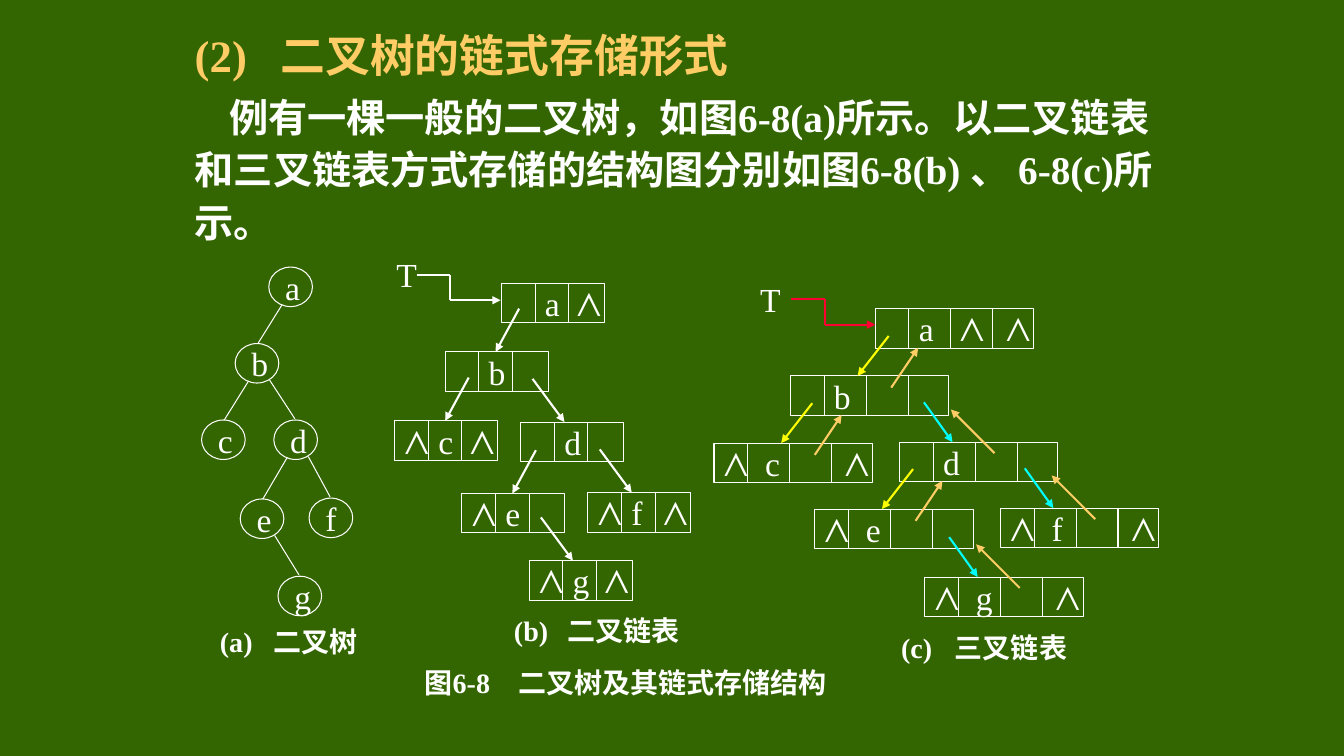
"""Build the slide on linked storage of binary trees."""
import lxml.etree
import pptx
import pptx.dml.color
import pptx.enum.shapes
import pptx.enum.text
import pptx.oxml.ns
import pptx.util

WIDTH = pptx.util.Inches(13.33)
HEIGHT = pptx.util.Inches(7.5)
COLUMNS, ROWS = 160, 90
GREEN = pptx.dml.color.RGBColor(0x33, 0x66, 0x00)
WHITE = pptx.dml.color.RGBColor(0xFF, 0xFF, 0xFF)
GOLD = pptx.dml.color.RGBColor(0xFF, 0xCC, 0x66)
YELLOW = pptx.dml.color.RGBColor(0xFF, 0xFF, 0x00)
CYAN = pptx.dml.color.RGBColor(0x00, 0xFF, 0xFF)
RED = pptx.dml.color.RGBColor(0xFF, 0x00, 0x33)
SERIF, SANS, ARIAL = "Times New Roman", "Noto Sans CJK SC", "Arial"
MIDDLE = pptx.enum.text.MSO_ANCHOR.MIDDLE
NODE_HEIGHT = 4.7

PARENTS = {"b": "a", "c": "b", "d": "b", "e": "d", "f": "d", "g": "e"}
LEFT_CHILDREN = "bce"
TREE = {"a": (32, 31.8), "b": (28, 40.9), "c": (24, 50), "d": (32.6, 50),
        "e": (28.6, 59.4), "f": (36.8, 59.3), "g": (33.1, 68.6)}
BINARY_LIST = {
    "a": (59.7, 33.75, "\ta\t⋀"), "b": (53, 41.9, "\tb"),
    "c": (47, 50.1, "⋀\tc\t⋀"), "d": (62, 50.25, "\td"),
    "e": (55, 58.75, "⋀\te"), "f": (70, 58.65, "⋀\tf\t⋀"),
    "g": (63, 66.75, "⋀\tg\t⋀")}
TRIPLE_LIST = {
    "a": (104.2, 36.75, "\ta\t⋀\t⋀"), "b": (94.1, 44.75, "\tb"),
    "c": (85, 52.75, "⋀\tc\t\t⋀"), "d": (107.1, 52.65, "\td"),
    "e": (97, 60.6, "⋀\te"), "f": (119.1, 60.5, "⋀\tf\t\t⋀"),
    "g": (110.1, 68.7, "⋀\tg\t\t⋀")}


def across(columns):
    """Turn grid columns into a length."""
    return round(columns * WIDTH / COLUMNS)


def down(rows):
    """Turn grid rows into a length."""
    return round(rows * HEIGHT / ROWS)


def place(box):
    """Turn a grid box into left, top, width and height."""
    return across(box[0]), down(box[1]), across(box[2]), down(box[3])


def shift(point, offset):
    """Move a grid point."""
    return point[0] + offset[0], point[1] + offset[1]


def add_run(paragraph, text, size, font=SERIF, color=WHITE, bold=False):
    """Add one formatted run."""
    run = paragraph.add_run()
    run.text = text
    run.font.size = pptx.util.Pt(size)
    run.font.name = font
    run.font.bold = bold
    run.font.color.rgb = color
    if any(ord(letter) >= 0x3000 for letter in text):
        east_asian = lxml.etree.SubElement(run.font._element, pptx.oxml.ns.qn("a:ea"))
        east_asian.set("typeface", SANS)


def add_tabs(paragraph, stops):
    """Set left tab stops, given in grid columns."""
    tabs = lxml.etree.SubElement(paragraph._p.get_or_add_pPr(), pptx.oxml.ns.qn("a:tabLst"))
    for stop in stops:
        tab = lxml.etree.SubElement(tabs, pptx.oxml.ns.qn("a:tab"))
        tab.set("pos", str(across(stop)))
        tab.set("algn", "l")


def add_text_box(slide, box, wrap=True):
    """Add a text box and return its frame."""
    frame = slide.shapes.add_textbox(*place(box)).text_frame
    frame.word_wrap = wrap
    return frame


def add_line(slide, start, end, color=WHITE, weight=0.75, arrow=False):
    """Add a straight line, with an arrowhead if wanted."""
    line = slide.shapes.add_connector(
        pptx.enum.shapes.MSO_CONNECTOR.STRAIGHT,
        across(start[0]), down(start[1]), across(end[0]), down(end[1]))
    line.line.color.rgb = color
    line.line.width = pptx.util.Pt(weight)
    if arrow:
        head = lxml.etree.SubElement(line.line._get_or_add_ln(), pptx.oxml.ns.qn("a:tailEnd"))
        head.set("type", "triangle")
    lxml.etree.SubElement(line._element.spPr, pptx.oxml.ns.qn("a:effectLst"))


def add_outline(slide, kind, box):
    """Add an unfilled white outline and return its text frame."""
    shape = slide.shapes.add_shape(kind, *place(box))
    shape.shadow.inherit = False
    shape.fill.background()
    shape.line.color.rgb = WHITE
    shape.line.width = pptx.util.Pt(0.75)
    frame = shape.text_frame
    frame.vertical_anchor = MIDDLE
    frame.paragraphs[0].alignment = pptx.enum.text.PP_ALIGN.LEFT
    return frame


def add_tree(slide):
    """Draw the plain binary tree."""
    for letter, (left, top) in TREE.items():
        frame = add_outline(slide, pptx.enum.shapes.MSO_SHAPE.OVAL, (left, top, 5.2, NODE_HEIGHT))
        frame.word_wrap = False
        add_run(frame.paragraphs[0], letter, 24)
    for child, parent in PARENTS.items():
        is_left = child in LEFT_CHILDREN
        leave, reach = ((1.6, 4.45), (2.7, 0)) if is_left else ((4.1, 4.35), (2.5, -0.15))
        add_line(slide, shift(TREE[parent], leave), shift(TREE[child], reach))


def add_records(slide, nodes, width, dividers, stops):
    """Draw the divided records of a linked list."""
    for left, top, text in nodes.values():
        frame = add_outline(slide, pptx.enum.shapes.MSO_SHAPE.RECTANGLE,
                            (left, top, width, NODE_HEIGHT))
        frame.word_wrap = True
        frame.margin_right = 0
        paragraph = frame.paragraphs[0]
        add_tabs(paragraph, stops[text.startswith("⋀")])
        add_run(paragraph, text, 24)
        for divider in dividers:
            add_line(slide, (left + divider, top), (left + divider, top + NODE_HEIGHT))


def add_child_arrows(slide, nodes, left_rule, right_rule):
    """Draw the arrows to the children by reach, offset and colour."""
    for child in PARENTS:
        reach, offset, color = left_rule if child in LEFT_CHILDREN else right_rule
        end = shift(nodes[child], reach)
        add_line(slide, shift(end, offset), end, color, 1.5, True)


def add_parent_arrows(slide):
    """Draw the arrows back to the parents."""
    for child in PARENTS:
        is_left = child in LEFT_CHILDREN
        leave, offset = ((12, 1.4), (3.2, -4.75)) if is_left else ((11.3, 1.3), (-5.2, -5.2))
        start = shift(TRIPLE_LIST[child], leave)
        add_line(slide, start, shift(start, offset), GOLD, 1.5, True)


def add_root_pointer(slide, label, start, color):
    """Draw the letter T and its stepped arrow."""
    frame = add_text_box(slide, (*label, 4.7, 4.2), False)
    frame.vertical_anchor = MIDDLE
    add_run(frame.paragraphs[0], "T", 24)
    corner = shift(start, (4, 0))
    turn = shift(corner, (0, 3))
    add_line(slide, start, corner, color, 1.5)
    add_line(slide, corner, turn, color, 1.5)
    add_line(slide, turn, shift(turn, (6, 0)), color, 1.5, True)


def add_caption(slide, box, mark, name):
    """Add the caption of one part of the figure."""
    frame = add_text_box(slide, box)
    frame.vertical_anchor = MIDDLE
    frame.margin_right = 0
    paragraph = frame.paragraphs[0]
    add_tabs(paragraph, [6.4])
    add_run(paragraph, mark + "\t", 20, bold=True)
    add_run(paragraph, name, 20, SANS, bold=True)


def add_explanation(slide):
    """Add the heading, the explanation and the figure title."""
    frame = add_text_box(slide, (22, 2.65, 117, 27.15))
    heading = frame.paragraphs[0]
    add_tabs(heading, [10.2])
    add_run(heading, "(2)\t二叉树的链式存储形式", 32, color=GOLD, bold=True)
    body = frame.add_paragraph()
    body._p.get_or_add_pPr().set("indent", str(across(4.1)))
    body.line_spacing = pptx.util.Pt(37.2)
    body.space_before = pptx.util.Pt(5.5)
    for text, font in (("例有一棵一般的二叉树，如图", SANS), ("6-8(a)", SERIF),
                       ("所示。以二叉链表和三叉链表方式存储的结构图分别如图", SANS),
                       ("6-8(b) 、 6-8(c)", SERIF), ("所示。", SANS)):
        add_run(body, text, 28, font, bold=True)
    frame = add_text_box(slide, (49, 78.7, 51, 5))
    frame.vertical_anchor = MIDDLE
    title = frame.paragraphs[0]
    title.alignment = pptx.enum.text.PP_ALIGN.CENTER
    title.line_spacing = pptx.util.Pt(24)
    for text, font in (("图", ARIAL), ("6-8　二叉树及其", SERIF), ("链式存储结构", SANS)):
        add_run(title, text, 20, font, bold=True)


def main():
    """Build and save the slide."""
    presentation = pptx.Presentation()
    presentation.slide_width, presentation.slide_height = WIDTH, HEIGHT
    slide = presentation.slides.add_slide(presentation.slide_layouts[6])
    slide.background.fill.solid()
    slide.background.fill.fore_color.rgb = GREEN
    add_explanation(slide)
    add_tree(slide)
    add_records(slide, BINARY_LIST, 12.25, (4, 8), ((4, 7.8), (4, 7.8)))
    add_child_arrows(slide, BINARY_LIST, ((6, 0), (2.8, -5.15), WHITE),
                     ((5.2, 0), (-3.8, -5.15), WHITE))
    add_root_pointer(slide, (46, 30.5), (49.6, 32.75), WHITE)
    add_records(slide, TRIPLE_LIST, 18.85, (4, 9, 14), ((4, 8.9, 14.4), (4.9, 8.9, 14.4)))
    add_child_arrows(slide, TRIPLE_LIST, ((8, 0), (3.7, -4.75), YELLOW),
                     ((6.3, 0), (-3.4, -4.75), CYAN))
    add_parent_arrows(slide)
    add_root_pointer(slide, (89.3, 33.5), (94.2, 35.65), RED)
    add_caption(slide, (25, 74, 18, 4.7), "(a)", "二叉树")
    add_caption(slide, (60, 72.7, 23, 4.7), "(b)", "二叉链表")
    add_caption(slide, (106.1, 74.7, 23, 4.7), "(c)", "三叉链表")
    presentation.save("out.pptx")


if __name__ == "__main__":
    main()
